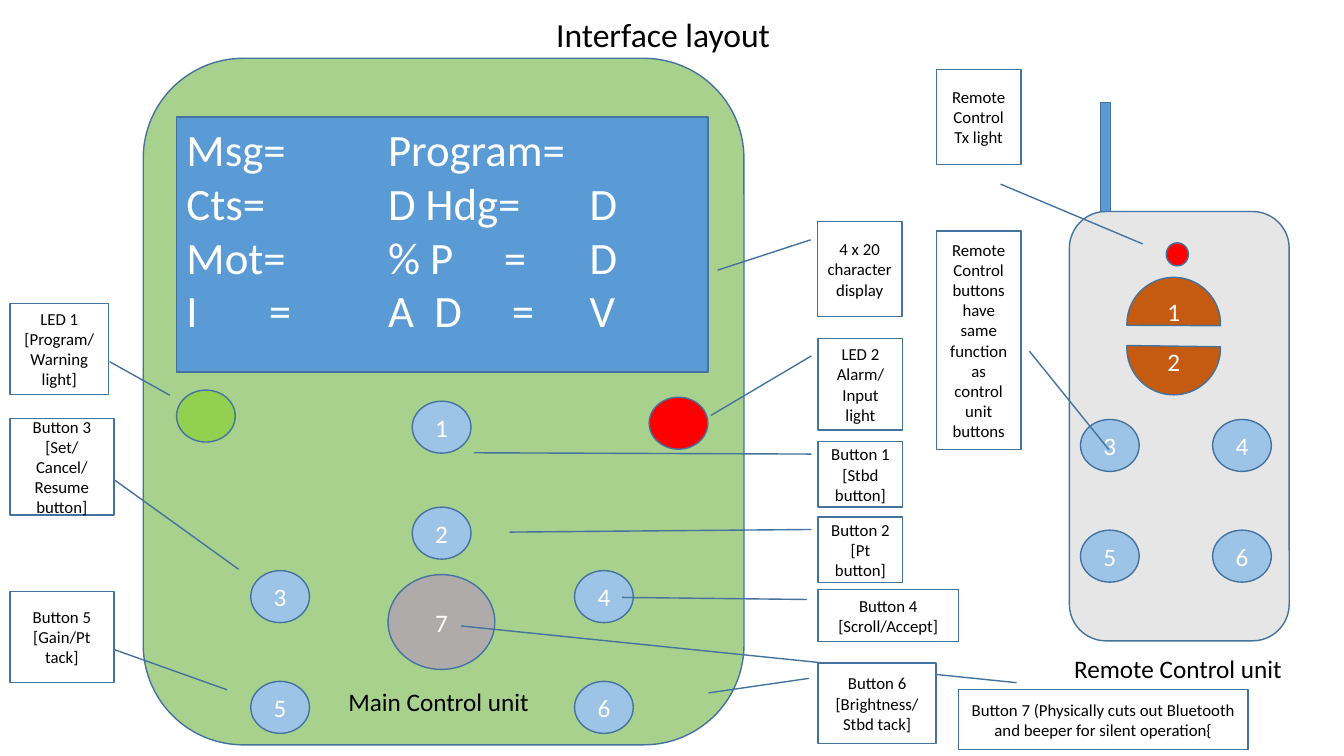
from typing import NamedTuple

from lxml import etree
from pptx import Presentation
from pptx import util as u
from pptx.dml.color import RGBColor
from pptx.enum import shapes, text
from pptx.oxml.ns import qn

BLACK = RGBColor(0x00, 0x00, 0x00)
WHITE = RGBColor(0xFF, 0xFF, 0xFF)
OUTLINE = RGBColor(0x43, 0x73, 0x9E)
CASE_GREEN = RGBColor(0xA9, 0xD1, 0x8E)
CASE_GREY = RGBColor(0xE7, 0xE6, 0xE6)
SCREEN_BLUE = RGBColor(0x5B, 0x9B, 0xD5)
BUTTON_BLUE = RGBColor(0x9D, 0xC3, 0xE6)
BUTTON_GREY = RGBColor(0xAF, 0xAB, 0xAB)
BUTTON_ORANGE = RGBColor(0xC5, 0x5A, 0x11)
LED_RED = RGBColor(0xFF, 0x00, 0x00)
LED_GREEN = RGBColor(0x92, 0xD0, 0x50)

FONT = "Calibri"
KIND = shapes.MSO_SHAPE
ALIGN = text.PP_ALIGN
ANCHOR = text.MSO_ANCHOR
BUTTON_W, BUTTON_H = 1.48, 1.31
RIGHT_START = (0.19, -0.08)
LEFT_START = (0.64, 1.01)


class Box(NamedTuple):
    x: float
    y: float
    w: float
    h: float


class Part(NamedTuple):
    kind: KIND
    box: Box
    fill: RGBColor
    label: str = ""
    size: int = 18
    color: RGBColor = WHITE
    anchor: ANCHOR = ANCHOR.MIDDLE
    adjustments: tuple = ()


class Callout(NamedTuple):
    label: str
    box: Box
    start: tuple
    end: tuple


class Row(NamedTuple):
    label: str
    tabs: tuple


def lengths(box: Box) -> list:
    return [u.Cm(v) for v in box]


def write(tf, label: str, size: int, color: RGBColor, align: ALIGN) -> None:
    tf.text = label
    for p in tf.paragraphs:
        p.alignment = align
        for r in p.runs:
            r.font.name = FONT
            r.font.size = u.Pt(size)
            r.font.color.rgb = color


def draw_part(group, part: Part):
    sp = group.add_shape(part.kind, *lengths(part.box))
    sp.shadow.inherit = False
    sp.fill.solid()
    sp.fill.fore_color.rgb = part.fill
    sp.line.color.rgb = OUTLINE
    sp.line.width = u.Pt(1)
    for i, value in enumerate(part.adjustments):
        sp.adjustments[i] = value
    if part.label:
        tf = sp.text_frame
        tf.word_wrap = True
        tf.vertical_anchor = part.anchor
        write(tf, part.label, part.size, part.color, ALIGN.CENTER)
    return sp


def draw_button(group, label: str, x: float, y: float) -> None:
    box = Box(x, y, BUTTON_W, BUTTON_H)
    draw_part(group, Part(KIND.OVAL, box, BUTTON_BLUE, label))


def draw_callout(group, c: Callout) -> None:
    draw_part(group, Part(KIND.LINE_CALLOUT_1, c.box, WHITE, c.label, 12, BLACK,
                          adjustments=c.start + c.end))


def draw_caption(group, label: str, box: Box) -> None:
    tf = group.add_textbox(*lengths(box)).text_frame
    tf.word_wrap = False
    write(tf, label, 18, BLACK, ALIGN.LEFT)


def draw_display(group, box: Box, rows: list) -> None:
    label = "\n".join(row.label for row in rows)
    sp = draw_part(group, Part(KIND.RECTANGLE, box, SCREEN_BLUE, label, 32))
    tf = sp.text_frame
    tf.margin_bottom = u.Cm(0.9)
    for p, row in zip(tf.paragraphs, rows):
        p.alignment = ALIGN.LEFT
        tab_list = etree.SubElement(p._p.get_or_add_pPr(), qn("a:tabLst"))
        for stop in row.tabs:
            etree.SubElement(tab_list, qn("a:tab"), pos=str(int(u.Cm(stop))), algn="l")


DISPLAY_ROWS = [
    Row("Msg=\tProgram=", (5.08,)),
    Row("Cts=\tD Hdg=\tD", (5.08, 10.16)),
    Row("Mot=\t% P\t=\tD", (5.08, 8, 10.16)),
    Row("I\t=\tA\tD\t=\tV", (2.08, 5.08, 6.25, 8.2, 10.16)),
]
LEDS = [
    Part(KIND.OVAL, Box(16.36, 10.01, BUTTON_W, BUTTON_H), LED_RED),
    Part(KIND.OVAL, Box(4.45, 9.83, BUTTON_W, BUTTON_H), LED_GREEN),
]
MAIN_BUTTONS = [("1", 10.39, 10.11), ("2", 10.39, 12.78), ("3", 6.32, 14.38),
                ("4", 14.48, 14.38), ("5", 6.32, 17.17), ("6", 14.48, 17.17)]
REMOTE_BUTTONS = [("3", 27.23, 10.57), ("4", 30.56, 10.57),
                  ("5", 27.23, 13.36), ("6", 30.56, 13.36)]
REMOTE_PARTS = [
    Part(KIND.ROUNDED_RECTANGLE, Box(26.95, 5.33, 5.54, 10.82), CASE_GREY),
    Part(KIND.OVAL, Box(29.39, 6.12, 0.56, 0.58), LED_RED),
    Part(KIND.CHORD, Box(28.4, 6.99, 2.36, 2.36), BUTTON_ORANGE, "1",
         anchor=ANCHOR.TOP, adjustments=(107.21, 1.12)),
    Part(KIND.CHORD, Box(28.4, 7.59, 2.36, 2.36), BUTTON_ORANGE, "2",
         anchor=ANCHOR.BOTTOM, adjustments=(215.11, 109.81)),
    Part(KIND.RECTANGLE, Box(27.74, 2.59, 0.25, 2.74), SCREEN_BLUE),
]
CALLOUTS = [
    Callout("LED 2\nAlarm/Input light", Box(20.62, 8.53, 2.13, 2.31),
            RIGHT_START, (0.84, -1.27)),
    Callout("4 x 20 character display", Box(20.6, 5.59, 2.13, 2.39),
            RIGHT_START, (0.51, -1.18)),
    Callout("Button 1\n[Stbd button]", Box(20.62, 11.13, 2.13, 1.65),
            RIGHT_START, (0.17, -4.07)),
    Callout("Button 2\n[Pt button]", Box(20.62, 13.03, 2.13, 1.65),
            RIGHT_START, (0.23, -3.65)),
    Callout("Button 4\n[Scroll/Accept]", Box(20.62, 14.86, 3.53, 1.3),
            RIGHT_START, (0.15, -1.4)),
    Callout("Button 3\n[Set/Cancel/Resume button]", Box(0.25, 10.54, 2.62, 2.44),
            LEFT_START, (1.56, 2.2)),
    Callout("Button 5\n[Gain/Pt tack]", Box(0.25, 14.91, 2.62, 2.29),
            LEFT_START, (1.08, 2.09)),
    Callout("LED 1\n[Program/Warning light]", Box(0.25, 7.65, 2.49, 2.29),
            LEFT_START, (1.01, 1.62)),
    Callout("Remote Control Tx light", Box(23.6, 1.75, 2.13, 2.39),
            (1.84, 2.44), (1.21, 0.76)),
    Callout("Remote Control buttons have same function as control unit buttons",
            Box(23.6, 5.82, 2.13, 5.51), (1, 2.04), (0.55, 1.1)),
    Callout("Button 7 (Physically cuts out Bluetooth and beeper for silent operation{",
            Box(24.16, 17.37, 7.29, 1.52), (-0.11, 0.2), (-1.05, -1.72)),
    Callout("Button 6\n[Brightness/Stbd tack]", Box(20.62, 16.71, 2.97, 2.03),
            RIGHT_START, (0.37, -0.93)),
]

prs = Presentation()
prs.slide_width, prs.slide_height = u.Cm(33.87), u.Cm(19.05)
s = prs.slides.add_slide(prs.slide_layouts[5])

title = s.shapes.title
title.left, title.top, title.width, title.height = lengths(Box(4.01, 0.23, 25.4, 1.24))
write(title.text_frame, "Interface layout", 24, BLACK, ALIGN.CENTER)

draw_part(s.shapes, Part(KIND.ROUNDED_RECTANGLE, Box(3.61, 1.47, 15.14, 17.3), CASE_GREEN))
draw_display(s.shapes, Box(4.45, 2.95, 13.39, 6.43), DISPLAY_ROWS)
for led in LEDS:
    draw_part(s.shapes, led)
for button in MAIN_BUTTONS:
    draw_button(s.shapes, *button)
draw_part(s.shapes, Part(KIND.OVAL, Box(9.78, 14.48, 2.69, 2.39), BUTTON_GREY, "7"))

remote = s.shapes.add_group_shape().shapes
for part in REMOTE_PARTS:
    draw_part(remote, part)
for button in REMOTE_BUTTONS:
    draw_button(remote, *button)

draw_caption(s.shapes, "Remote Control unit", Box(26.82, 16.33, 5.82, 1.02))
draw_caption(s.shapes, "Main Control unit", Box(8.53, 17.17, 5.11, 1.02))
for callout in CALLOUTS:
    draw_callout(s.shapes, callout)

prs.save("out.pptx")
